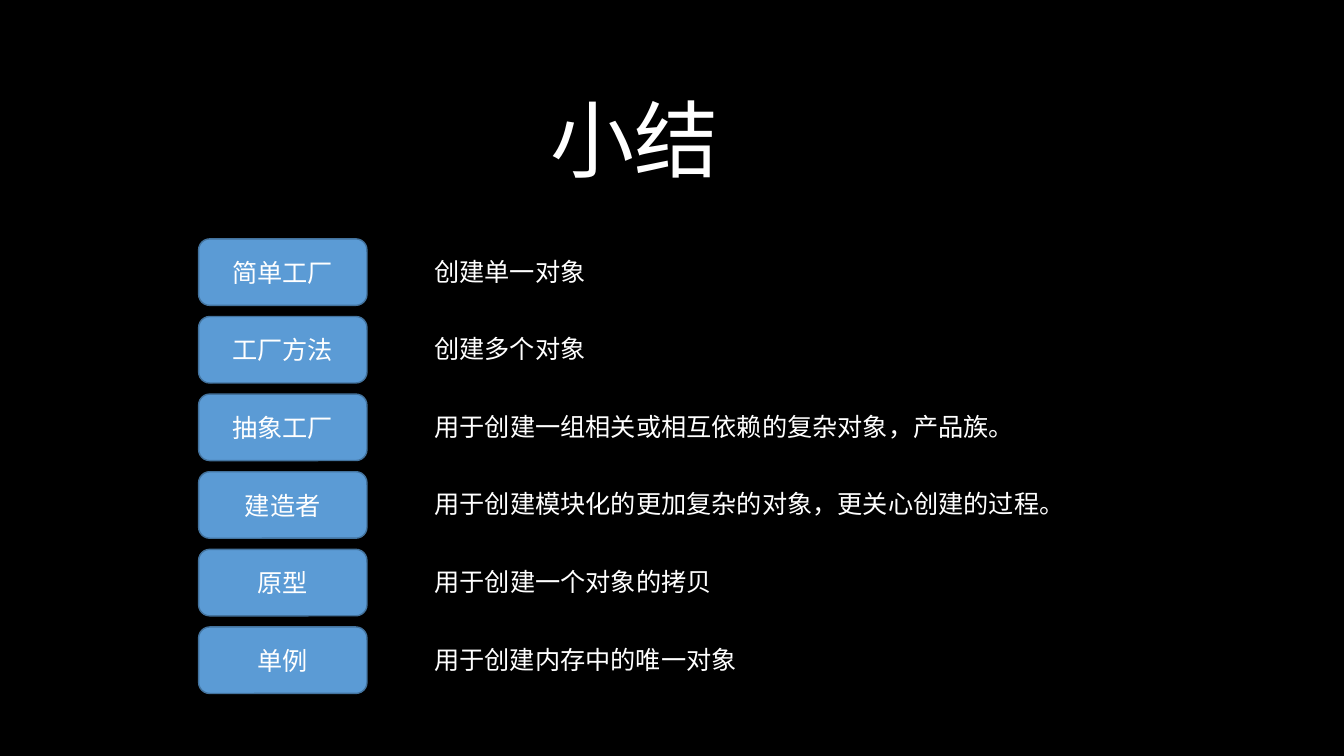
"""Build the summary slide of creational design patterns."""
from pptx import Presentation
from pptx.dml.color import RGBColor
from pptx.enum.shapes import MSO_SHAPE
from pptx.enum.text import MSO_ANCHOR, PP_ALIGN
from pptx.util import Inches, Pt


def paint(color, code):
    color.rgb = RGBColor.from_string(code)


def write(shape, text, size, align, anchor):
    frame = shape.text_frame
    frame.text = text
    frame.vertical_anchor = anchor
    para = frame.paragraphs[0]
    para.alignment = align
    para.font.size = Pt(size)
    para.font.name = "Calibri"
    paint(para.font.color, "FFFFFF")


rows = [
    ("简单工厂", "创建单一对象"),
    ("工厂方法", "创建多个对象"),
    ("抽象工厂", "用于创建一组相关或相互依赖的复杂对象，产品族。"),
    ("建造者", "用于创建模块化的更加复杂的对象，更关心创建的过程。"),
    ("原型", "用于创建一个对象的拷贝"),
    ("单例", "用于创建内存中的唯一对象"),
]

deck = Presentation()
deck.slide_width = Inches(13.33)
deck.slide_height = Inches(7.5)
slide = deck.slides.add_slide(deck.slide_layouts[5])
slide.background.fill.solid()
paint(slide.background.fill.fore_color, "000000")

title = slide.shapes.title
title.left, title.top = Inches(-0.34), Inches(0.82)
title.width, title.height = Inches(13.26), Inches(1.11)
write(title, "小结", 60, PP_ALIGN.CENTER, MSO_ANCHOR.TOP)

for i, (name, use) in enumerate(rows):
    box = slide.shapes.add_shape(
        MSO_SHAPE.ROUNDED_RECTANGLE,
        Inches(1.97), Inches(2.37 + 0.77 * i), Inches(1.67), Inches(0.66))
    box.shadow.inherit = False
    box.fill.solid()
    paint(box.fill.fore_color, "5B9BD5")
    paint(box.line.color, "43739E")
    box.line.width = Pt(1)
    write(box, name, 18, PP_ALIGN.CENTER, MSO_ANCHOR.MIDDLE)

    note = slide.shapes.add_textbox(
        Inches(4.21), Inches(2.49 + 0.77 * i),
        Inches(0.2 + 0.25 * len(use)), Inches(0.4))
    note.text_frame.word_wrap = False
    write(note, use, 18, PP_ALIGN.LEFT, MSO_ANCHOR.TOP)

deck.save("out.pptx")
